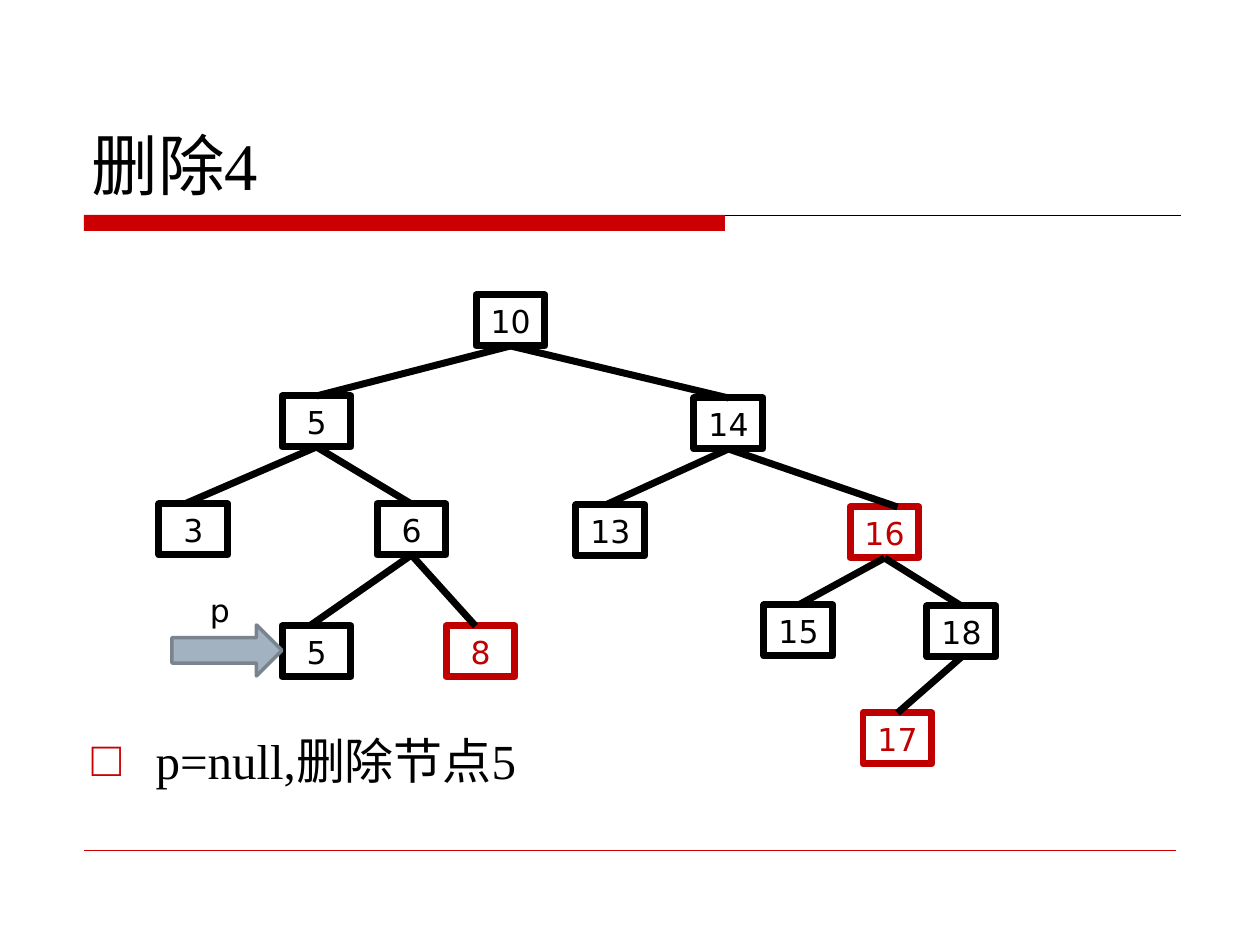
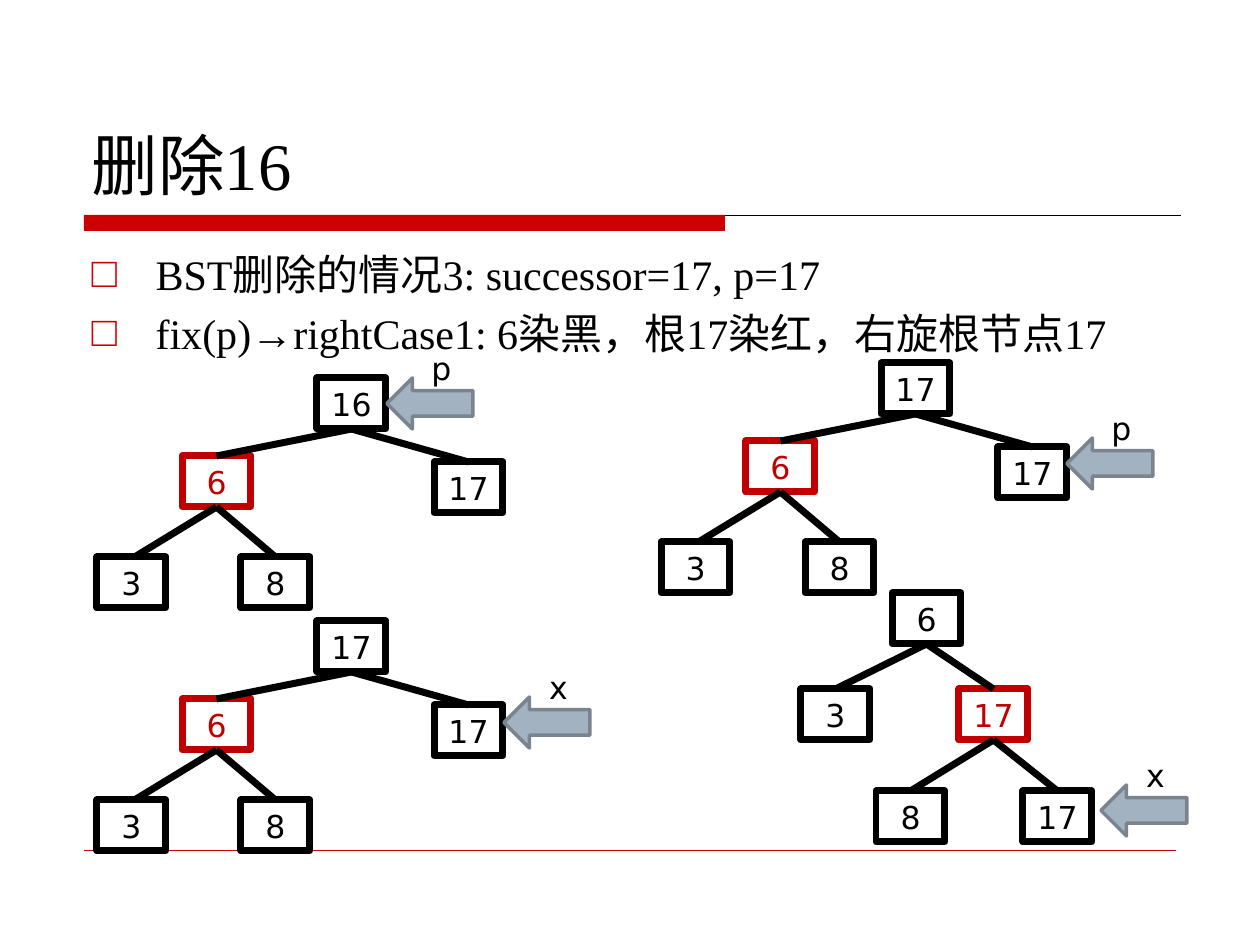
from lxml import etree
from pptx import Presentation
from pptx.dml.color import RGBColor
from pptx.enum.shapes import MSO_CONNECTOR, MSO_SHAPE
from pptx.enum.text import MSO_ANCHOR, MSO_AUTO_SIZE, PP_ALIGN
from pptx.oxml.ns import qn
from pptx.util import Emu, Pt

STRAIGHT = MSO_CONNECTOR.STRAIGHT
RECTANGLE = MSO_SHAPE.RECTANGLE
LEFT_ARROW = MSO_SHAPE.LEFT_ARROW
RIGHT_ARROW = MSO_SHAPE.RIGHT_ARROW
CENTER = PP_ALIGN.CENTER
LEFT = PP_ALIGN.LEFT
TOP = MSO_ANCHOR.TOP
MIDDLE = MSO_ANCHOR.MIDDLE
BOTTOM = MSO_ANCHOR.BOTTOM
NO_AUTOFIT = MSO_AUTO_SIZE.NONE

PX_PER_INCH = 126
EMU_PER_INCH = 914400
BLACK = "000000"
NODE_RED = "C00000"
BAND_RED = "CC0000"
ARROW_FILL = "A3B2C1"
ARROW_LINE = "79848F"
TEXT_FONT = "Times New Roman"
NODE_FONT = "DejaVu Sans"
NODE_WIDTH, NODE_HEIGHT = 69, 51
BOTTOM_SITE, TOP_SITE = 2, 0


def px(length):
    return Emu(round(length * EMU_PER_INCH / PX_PER_INCH))


def color(value):
    return RGBColor.from_string(value)


def place(shape, left, top, width, height):
    shape.left, shape.top = px(left), px(top)
    shape.width, shape.height = px(width), px(height)


def format_paragraph(para, font_name, size, ink=BLACK, align=LEFT):
    para.alignment = align
    for span in para.runs:
        span.font.name = font_name
        span.font.size = Pt(size)
        span.font.color.rgb = color(ink)


def add_preset(slide, kind, left, top, width, height, fill, line, weight):
    shape = slide.shapes.add_shape(kind, px(left), px(top), px(width), px(height))
    shape.shadow.inherit = False
    if fill:
        shape.fill.solid()
        shape.fill.fore_color.rgb = color(fill)
    else:
        shape.fill.background()
    if line:
        shape.line.color.rgb = color(line)
        shape.line.width = Pt(weight)
    else:
        shape.line.fill.background()
    return shape


def add_line(slide, start, end, ink, weight):
    line = slide.shapes.add_connector(STRAIGHT, px(start[0]), px(start[1]), px(end[0]), px(end[1]))
    line.line.color.rgb = color(ink)
    line.line.width = Pt(weight)
    etree.SubElement(line._element.spPr, qn("a:effectLst"))
    return line


def add_bullet(para):
    properties = para._p.get_or_add_pPr()
    properties.set("marL", str(px(64)))
    properties.set("indent", str(-px(64)))
    ink = etree.SubElement(properties, qn("a:buClr"))
    etree.SubElement(ink, qn("a:srgbClr")).set("val", BAND_RED)
    etree.SubElement(properties, qn("a:buFont")).set("typeface", TEXT_FONT)
    etree.SubElement(properties, qn("a:buChar")).set("char", "□")


def add_page(deck, title):
    page = deck.slides.add_slide(deck.slide_layouts[1])
    add_line(page, (84, 215), (1181, 215), BLACK, 0.5)
    add_preset(page, RECTANGLE, 84, 215, 641, 16, BAND_RED, None, 0)
    add_line(page, (84, 850), (1176, 850), BAND_RED, 0.25)
    box = page.shapes.title
    place(box, 79, 42, 1103, 168)
    frame = box.text_frame
    frame.text = title
    frame.auto_size = NO_AUTOFIT
    frame.vertical_anchor = BOTTOM
    format_paragraph(frame.paragraphs[0], TEXT_FONT, 38)
    return page


def fill_body(page, lines, top, height, size):
    box = page.placeholders[1]
    place(box, 79, top, 1103, height)
    frame = box.text_frame
    frame.text = "\n".join(lines)
    frame.auto_size = NO_AUTOFIT
    frame.vertical_anchor = TOP
    for index, para in enumerate(frame.paragraphs):
        add_bullet(para)
        para.space_before = Pt(size * 0.2 if index else 0)
        format_paragraph(para, TEXT_FONT, size)


def add_node(page, label, left, top, ink):
    node = add_preset(page, RECTANGLE, left, top, NODE_WIDTH, NODE_HEIGHT, None, ink, 4)
    frame = node.text_frame
    frame.margin_top = frame.margin_bottom = 0
    frame.vertical_anchor = MIDDLE
    frame.text = label
    format_paragraph(frame.paragraphs[0], NODE_FONT, 18, ink, CENTER)
    return node


def add_tree(page, left, top, entries):
    nodes = [add_node(page, label, left + x, top + y, ink)
             for label, parent, x, y, ink, shift in entries]
    for node, (label, parent, x, y, ink, shift) in zip(nodes, entries):
        if parent is None:
            continue
        parent_x, parent_y = entries[parent][2:4]
        half = NODE_WIDTH / 2
        start = (left + parent_x + half, top + parent_y + NODE_HEIGHT)
        end = (left + x + half + shift, top + y)
        edge = add_line(page, start, end, BLACK, 4)
        edge.begin_connect(nodes[parent], BOTTOM_SITE)
        if not shift:
            edge.end_connect(node, TOP_SITE)


def add_pointer(page, label, left, top, kind=LEFT_ARROW, width=86, label_box=(6, -35, 97)):
    add_preset(page, kind, left, top, width, 51, ARROW_FILL, ARROW_LINE, 2)
    x, y, label_width = label_box
    box = page.shapes.add_textbox(px(left + x), px(top + y), px(label_width), px(51))
    box.text_frame.word_wrap = True
    box.text_frame.text = label
    format_paragraph(box.text_frame.paragraphs[0], NODE_FONT, 18, align=CENTER)


def build_delete_4(deck):
    page = add_page(deck, "删除4")
    fill_body(page, ["p=null,删除节点5"], 724, 106, 28)
    add_tree(page, 476, 295, [
        ("10", None, 0, 0, BLACK, 0),
        ("5", 0, -194, 101, BLACK, 0),
        ("3", 1, -317, 209, BLACK, -9),
        ("6", 1, -99, 209, BLACK, 0),
        ("5", 3, -194, 331, BLACK, -7),
        ("8", 3, -30, 331, NODE_RED, -5),
        ("14", 0, 218, 103, BLACK, 0),
        ("13", 6, 100, 210, BLACK, -5),
        ("16", 6, 374, 212, NODE_RED, 13),
        ("15", 8, 288, 310, BLACK, 0),
        ("18", 8, 451, 311, BLACK, 0),
        ("17", 10, 387, 418, NODE_RED, 0),
    ])
    add_pointer(page, "p", 172, 625, RIGHT_ARROW, 110, (10, -40, 76))


def build_delete_16(deck):
    page = add_page(deck, "删除16")
    fill_body(page, [
        "BST删除的情况3: successor=17, p=17",
        "fix(p)→rightCase1: 6染黑，根17染红，右旋根节点17",
    ], 242, 588, 24)
    before_rotation = [
        ("6", 0, -135, 78, NODE_RED, 0),
        ("3", 1, -220, 179, BLACK, 3),
        ("8", 1, -76, 179, BLACK, 0),
        ("17", 0, 117, 84, BLACK, 0),
    ]
    steps = [
        ("16", 317, 378, "p", 387, 378),
        ("17", 881, 363, "p", 1067, 438),
        ("17", 317, 621, "x", 504, 697),
    ]
    for root, left, top, label, arrow_left, arrow_top in steps:
        add_tree(page, left, top, [(root, None, 0, 0, BLACK, 0)] + before_rotation)
        add_pointer(page, label, arrow_left, arrow_top)
    add_tree(page, 892, 593, [
        ("6", None, 0, 0, BLACK, 0),
        ("3", 0, -91, 96, BLACK, 0),
        ("17", 0, 67, 96, NODE_RED, 0),
        ("8", 2, -16, 198, BLACK, 0),
        ("17", 2, 131, 198, BLACK, 0),
    ])
    add_pointer(page, "x", 1101, 785)


def main():
    deck = Presentation()
    deck.slide_width, deck.slide_height = px(1260), px(945)
    build_delete_4(deck)
    build_delete_16(deck)
    deck.save("out.pptx")


if __name__ == "__main__":
    main()
